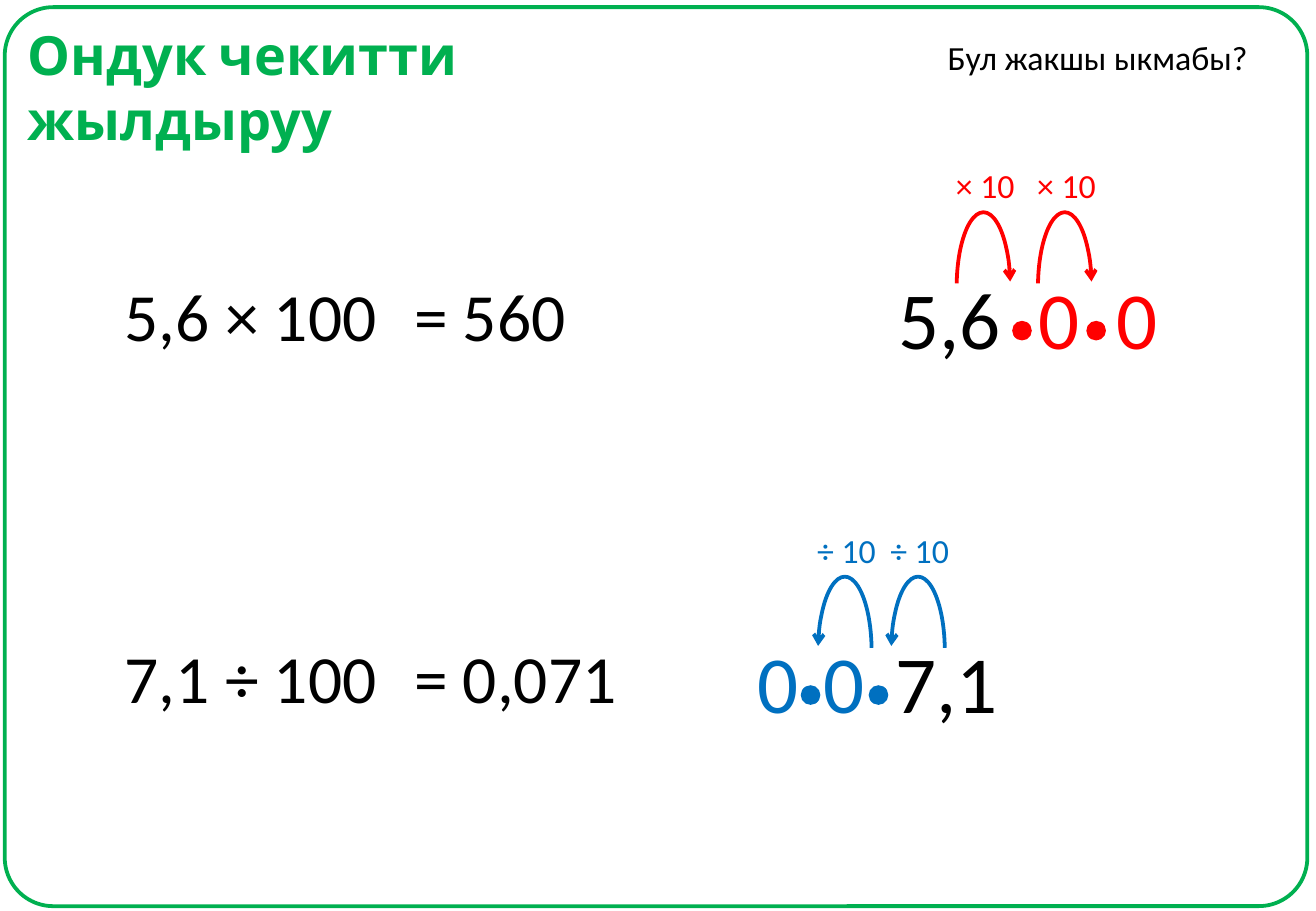
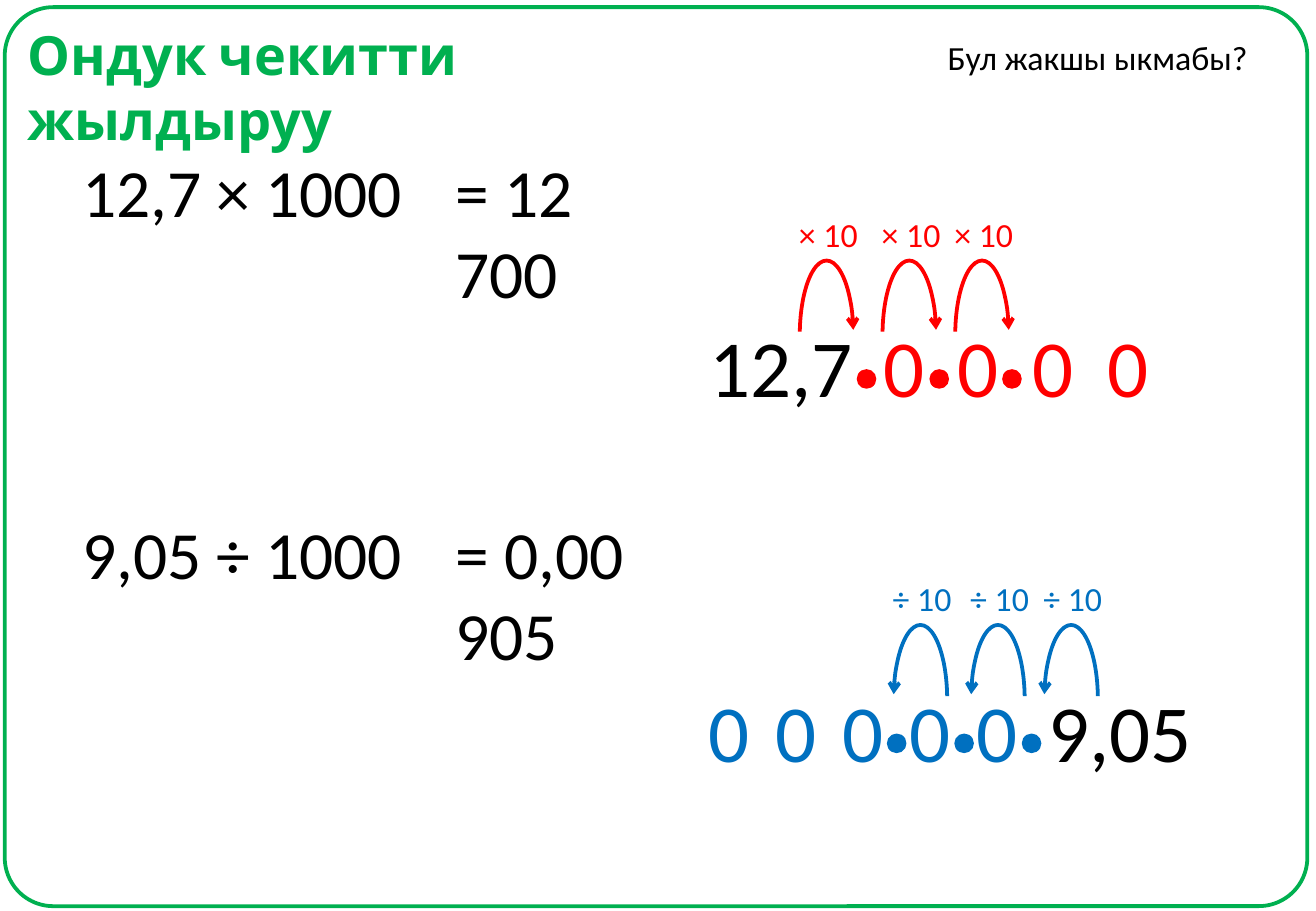
"""Build two slides on moving the decimal point when multiplying and dividing."""
from dataclasses import dataclass

from lxml import etree
from pptx import Presentation
from pptx.dml.color import RGBColor
from pptx.enum.shapes import MSO_SHAPE
from pptx.enum.text import MSO_AUTO_SIZE, PP_ALIGN
from pptx.oxml.ns import qn
from pptx.shapes.autoshape import Shape
from pptx.shapes.shapetree import GroupShapes, SlideShapes
from pptx.util import Cm, Pt

ARC = MSO_SHAPE.ARC
DOT = MSO_SHAPE.OVAL
FRAME = MSO_SHAPE.ROUNDED_RECTANGLE
LEFT, CENTER, RIGHT = PP_ALIGN.LEFT, PP_ALIGN.CENTER, PP_ALIGN.RIGHT
FIT_TEXT = MSO_AUTO_SIZE.SHAPE_TO_FIT_TEXT

GREEN, RED, BLUE, BLACK = "00B050", "FF0000", "0070C0", "000000"
TITLE_FONT, BODY_FONT = "Cabin", "Calibri"
LINE_WIDTH = 2.25

DIGIT_WIDTH, DIGIT_HEIGHT = 1.37, 2.31
DOT_SIZE, DOT_DROP = 0.41, 1.22
ARC_LENGTH, ARC_DEPTH, ARC_RISE = 3.12, 1.12, 0.05
LABEL_WIDTH, LABEL_HEIGHT, LABEL_RISE = 1.8, 1.12, 2.16
SUM_HEIGHT = 1.96


@dataclass(frozen=True)
class Sum:
    """A calculation and its answer, side by side."""
    top: float
    task: str
    task_left: float
    task_width: float
    answer: str
    answer_left: float
    answer_width: float


@dataclass(frozen=True)
class Row:
    """Equally spaced items."""
    start: float
    pitch: float
    count: int

    def lefts(self) -> list[float]:
        """Return the left edge of each item."""
        return [self.start + i * self.pitch for i in range(self.count)]


@dataclass(frozen=True)
class PointShift:
    """A number with added zeros, old point places and jump arrows."""
    number: str
    left: float
    top: float
    width: float
    step: str
    color: str
    zeros: Row
    dots: Row
    jumps: tuple[float, ...]
    forward: bool


@dataclass(frozen=True)
class Lesson:
    """The content of one slide."""
    sums: tuple[Sum, ...]
    shifts: tuple[PointShift, ...]


LESSONS = (
    Lesson(
        (Sum(5.61, "5,6 × 100", 2.36, 5.84, "= 560", 8.41, 3.71),
         Sum(13.18, "7,1 ÷ 100", 2.36, 5.84, "= 0,071", 8.41, 4.78)),
        (PointShift("5,6", 18.54, 5.49, 2.69, "× 10", RED, Row(21.46, 1.63, 2),
                    Row(21.16, 1.55, 2), (19.66, 21.36), True),
         PointShift("7,1", 18.47, 13.11, 2.69, "÷ 10", BLUE, Row(15.57, 1.4, 2),
                    Row(16.74, 1.42, 2), (16.76, 18.29), False)),
    ),
    Lesson(
        (Sum(3.02, "12,7 × 1000", 1.47, 7.26, "= 12 700", 9.27, 5.16),
         Sum(10.59, "9,05 ÷ 1000", 1.47, 7.26, "= 0,00 905", 9.27, 6.22)),
        (PointShift("12,7", 14.58, 6.5, 3.56, "× 10", RED, Row(18.21, 1.56, 4),
                    Row(17.91, 1.52, 3), (16.38, 18.11, 19.63), True),
         PointShift("9,05", 21.67, 14.12, 3.56, "÷ 10", BLUE, Row(14.55, 1.4, 5),
                    Row(18.54, 1.41, 3), (18.34, 19.96, 21.49), False)),
    ),
)


def rgb(color: str) -> RGBColor:
    """Turn a hex string into a colour."""
    return RGBColor.from_string(color)


def add_text(shapes: SlideShapes | GroupShapes, text: str, left: float, top: float,
             width: float, height: float, size: float, color: str = BLACK,
             align: PP_ALIGN = LEFT, font: str = BODY_FONT, bold: bool = False) -> None:
    """Add a one-run text box."""
    frame = shapes.add_textbox(Cm(left), Cm(top), Cm(width), Cm(height)).text_frame
    frame.word_wrap = True
    frame.auto_size = FIT_TEXT
    paragraph = frame.paragraphs[0]
    paragraph.alignment = align
    run = paragraph.add_run()
    run.text = text
    run.font.name = font
    run.font.size = Pt(size)
    run.font.bold = bold
    run.font.color.rgb = rgb(color)


def add_outline(shapes: SlideShapes | GroupShapes, preset: MSO_SHAPE, left: float, top: float,
                width: float, height: float, color: str) -> Shape:
    """Add an unfilled shape with a coloured line."""
    outline = shapes.add_shape(preset, Cm(left), Cm(top), Cm(width), Cm(height))
    outline.shadow.inherit = False
    outline.fill.background()
    outline.line.color.rgb = rgb(color)
    outline.line.width = Pt(LINE_WIDTH)
    return outline


def add_dot(shapes: SlideShapes, left: float, top: float, color: str) -> None:
    """Mark a former place of the decimal point."""
    dot = shapes.add_shape(DOT, Cm(left), Cm(top), Cm(DOT_SIZE), Cm(DOT_SIZE))
    dot.shadow.inherit = False
    dot.fill.solid()
    dot.fill.fore_color.rgb = rgb(color)
    dot.line.fill.background()


def add_jump(shapes: SlideShapes, shift: PointShift, left: float) -> None:
    """Group a curved arrow with the label above it."""
    group = shapes.add_group_shape().shapes
    arc_left = left + (LABEL_WIDTH - ARC_LENGTH) / 2
    arc = add_outline(group, ARC, arc_left, shift.top - ARC_RISE,
                      ARC_LENGTH, ARC_DEPTH, shift.color)
    arc.adjustments[0] = 60.745
    arc.adjustments[1] = 157.619
    arc.rotation = 90
    properties = arc.element.spPr
    if shift.forward:
        properties.find(qn("a:xfrm")).set("flipV", "1")
    etree.SubElement(properties.find(qn("a:ln")), qn("a:headEnd"), type="arrow")
    add_text(group, shift.step, left, shift.top - LABEL_RISE,
             LABEL_WIDTH, LABEL_HEIGHT, 20, shift.color, RIGHT)


def add_shift(shapes: SlideShapes, shift: PointShift) -> None:
    """Draw a number whose decimal point jumps."""
    add_text(shapes, shift.number, shift.left, shift.top, shift.width, DIGIT_HEIGHT, 48)
    for left in shift.zeros.lefts():
        add_text(shapes, "0", left, shift.top, DIGIT_WIDTH, DIGIT_HEIGHT, 48,
                 shift.color, CENTER)
    for left in shift.dots.lefts():
        add_dot(shapes, left, shift.top + DOT_DROP, shift.color)
    for left in shift.jumps:
        add_jump(shapes, shift, left)


def add_sum(shapes: SlideShapes, item: Sum) -> None:
    """Write a calculation and its answer."""
    add_text(shapes, item.task, item.task_left, item.top, item.task_width, SUM_HEIGHT, 40)
    add_text(shapes, item.answer, item.answer_left, item.top, item.answer_width, SUM_HEIGHT, 40)


def add_page(shapes: SlideShapes) -> None:
    """Draw the frame, title and question that all slides share."""
    frame = add_outline(shapes, FRAME, 0.1, 0.15, 27.23, 18.8, GREEN)
    frame.adjustments[0] = 0.054
    add_text(shapes, "Ондук чекитти жылдыруу", 0.33, 0.33, 13.49, 1.63, 32, GREEN,
             font=TITLE_FONT, bold=True)
    add_text(shapes, "Бул жакшы ыкмабы?", 19.56, 0.64, 7.09, 1.12, 20)


def main() -> None:
    """Build and save the presentation."""
    deck = Presentation()
    deck.slide_width, deck.slide_height = Cm(27.51), Cm(19.05)
    for lesson in LESSONS:
        shapes = deck.slides.add_slide(deck.slide_layouts[6]).shapes
        add_page(shapes)
        for item in lesson.sums:
            add_sum(shapes, item)
        for shift in lesson.shifts:
            add_shift(shapes, shift)
    deck.save("out.pptx")


if __name__ == "__main__":
    main()
